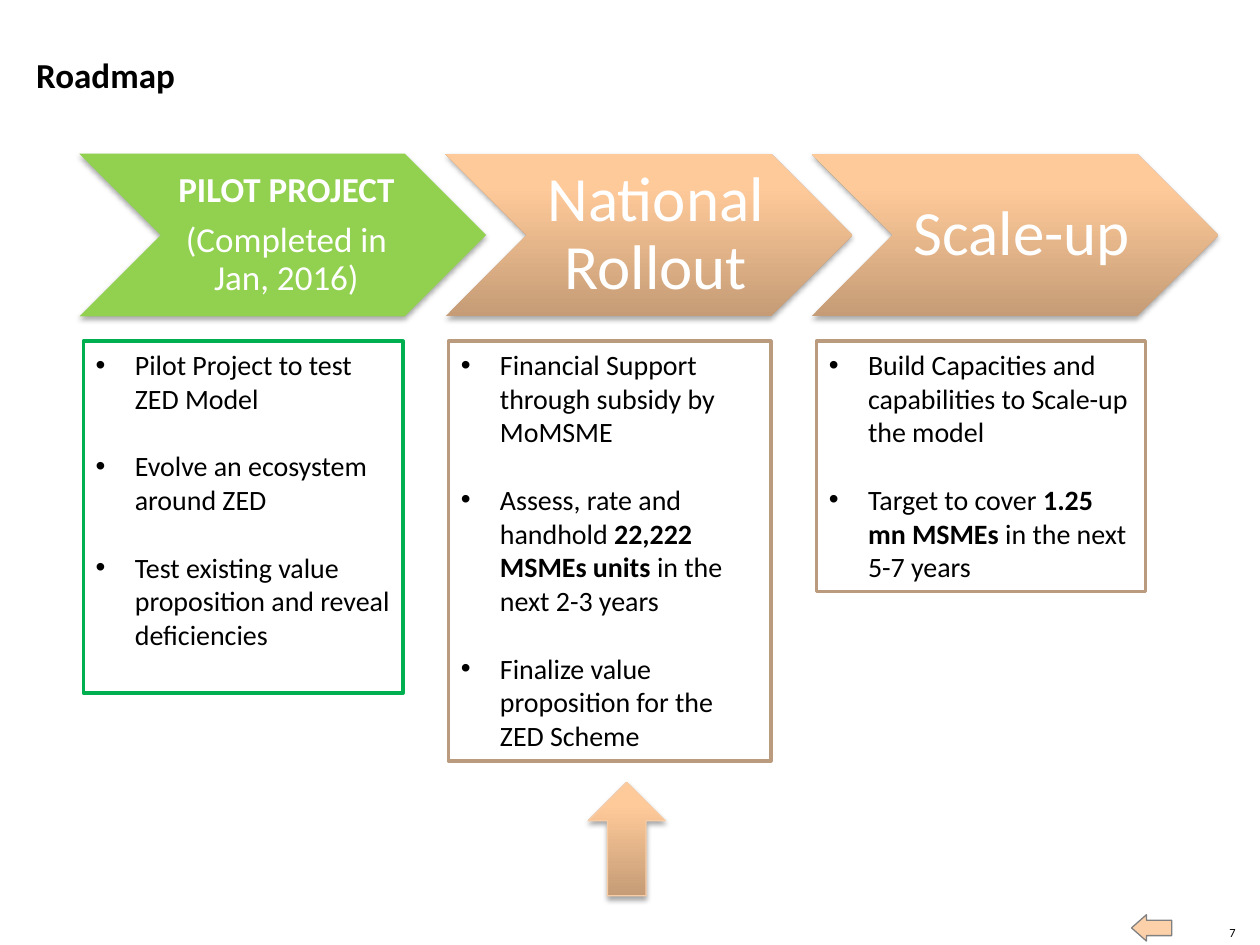
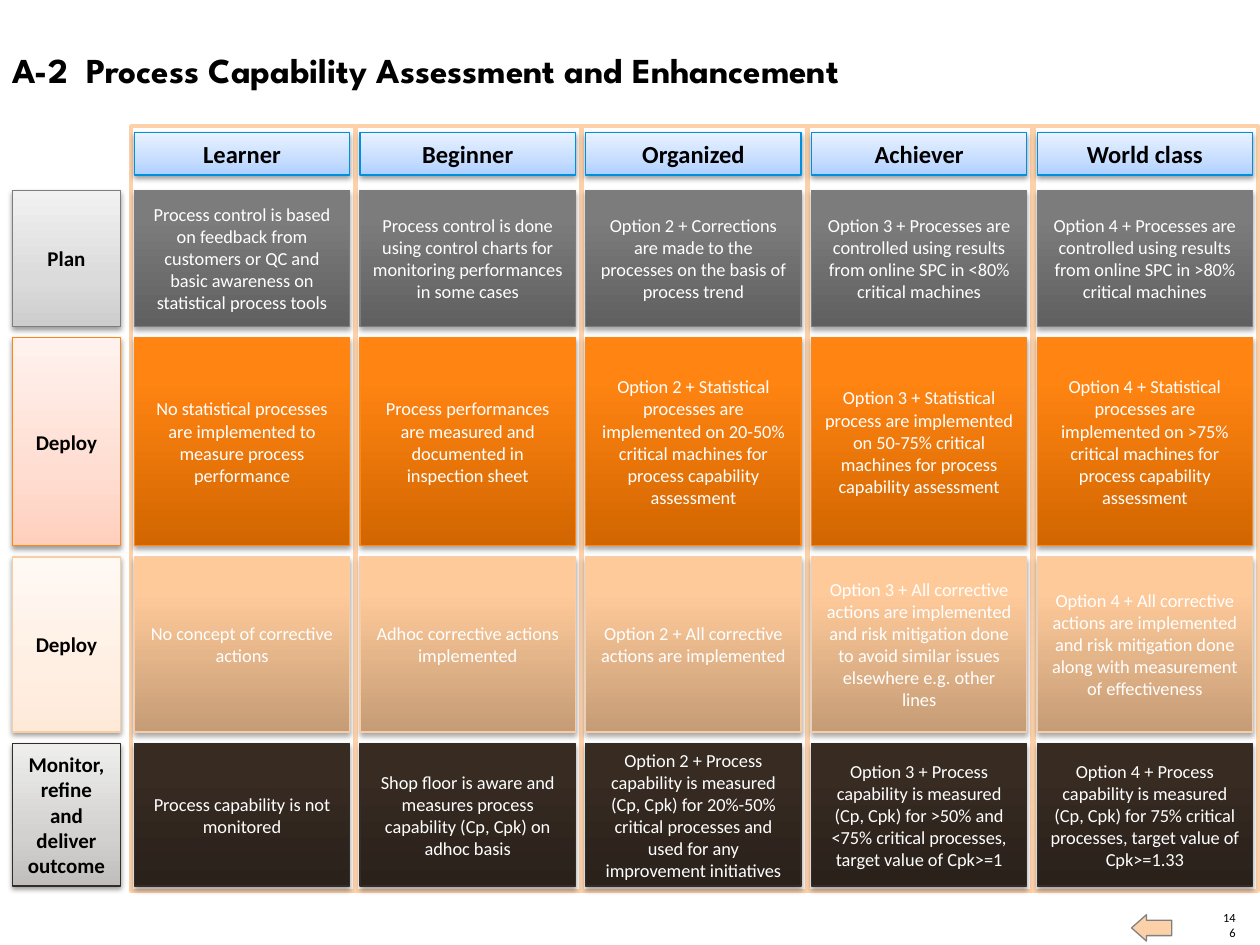
"""Build the roadmap slide and the process capability matrix slide."""
from lxml import etree
from pptx import Presentation
from pptx import util as u
from pptx.dml.color import RGBColor
from pptx.enum import shapes, text
from pptx.oxml.ns import qn

C = {
    "black": "000000", "white": "FFFFFF", "green": "92D050", "frame_green": "00B050",
    "tan": "BA9B7E", "peach": "FCD1AA", "peach_line": "F8CCA4", "grey": "808080",
    "plan": "7D7D7D", "orange": "FF8615", "brown": "352C25", "blue": "008FDC",
}
STOPS_DARK, STOPS_LIGHT = (0, 80, 100), (0, 35, 100)
G = {
    "peach": (STOPS_DARK, ("C59C76", "FFCA9A", "FFCB9C")),
    "plan": (STOPS_DARK, ("606060", "7C7C7C", "7D7D7D")),
    "orange": (STOPS_DARK, ("D26600", "FF8412", "FF8514")),
    "brown": (STOPS_DARK, ("2A211B", "372B22", "372B22")),
    "plan_label": (STOPS_LIGHT, ("CDCDCD", "DBDBDB", "F1F1F1")),
    "orange_label": (STOPS_LIGHT, ("FFCFBD", "FFDDD1", "FFF2EE")),
    "peach_label": (STOPS_LIGHT, ("FFE9D8", "FFEFE3", "FFF9F4")),
    "brown_label": (STOPS_LIGHT, ("C0BEBC", "D3D1D0", "EEEEED")),
    "header": (STOPS_LIGHT, ("AECFFF", "C6DDFF", "E9F2FF")),
}
SHAPE, ALIGN, ANCHOR = shapes.MSO_SHAPE, text.PP_ALIGN, text.MSO_ANCHOR


def box(slide, kind, place, fill, line=None, weight=0.75, shadow=None):
    """Add a preset shape; fill is a hex string or a gradient, shadow is (alpha, distance)."""
    sp = slide.shapes.add_shape(kind, *(u.Cm(v) for v in place))
    if isinstance(fill, str):
        sp.fill.solid()
        sp.fill.fore_color.rgb = RGBColor.from_string(fill)
    else:
        sp.fill.gradient()
        sp.fill.gradient_angle = 90
        stops = sp._element.spPr.find(".//" + qn("a:gsLst"))
        for old in list(stops):
            stops.remove(old)
        for pos, colour in zip(*fill):
            gs = etree.SubElement(stops, qn("a:gs"), pos=str(pos * 1000))
            etree.SubElement(gs, qn("a:srgbClr"), val=colour)
    if line:
        sp.line.color.rgb = RGBColor.from_string(line)
        sp.line.width = u.Pt(weight)
    else:
        sp.line.fill.background()
    sp.shadow.inherit = False
    if shadow:
        alpha, dist = shadow
        effects = sp._element.spPr.find(qn("a:effectLst"))
        outer = etree.SubElement(effects, qn("a:outerShdw"), blurRad=str(u.Pt(3.1)),
                                 dist=str(u.Pt(dist)), dir="5400000", rotWithShape="0")
        clr = etree.SubElement(outer, qn("a:srgbClr"), val=C["black"])
        etree.SubElement(clr, qn("a:alpha"), val=str(alpha * 1000))
    return sp


def write(sp, paras, size, colour, bold=False, align=ALIGN.CENTER, anchor=ANCHOR.MIDDLE,
          insets=(0.25, 0.13, 0.25, 0.13), font="Calibri"):
    """Fill a shape with paragraphs; ** switches bold on and off."""
    tf = sp.text_frame
    tf.word_wrap = True
    tf.auto_size = text.MSO_AUTO_SIZE.NONE
    tf.vertical_anchor = anchor
    tf.margin_left, tf.margin_top, tf.margin_right, tf.margin_bottom = (u.Cm(v) for v in insets)
    for i, para in enumerate(paras):
        p = tf.add_paragraph() if i else tf.paragraphs[0]
        p.alignment = align
        for j, part in enumerate(para.split("**")):
            if part:
                r = p.add_run()
                r.text = part
                r.font.name, r.font.size = font, u.Pt(size)
                r.font.bold = bold or j % 2 == 1
                r.font.color.rgb = RGBColor.from_string(colour)
    return tf


prs = Presentation()
prs.slide_width, prs.slide_height = u.Cm(25.4), u.Cm(19.05)

heads = [
    ("Roadmap", "7", "Calibri", (0.48, 1.07, 19.43, 0.86), ANCHOR.BOTTOM, (0.25, 0, 0, 0)),
    ("A-2  Process Capability Assessment and Enhancement", "146", "League Spartan",
     (0, 0.84, 21.84, 1.12), ANCHOR.TOP, (0.25, 0.13, 0.25, 0.13)),
]
for title, number, font, place, anchor, insets in heads:
    s = prs.slides.add_slide(prs.slide_layouts[5])
    sp = s.shapes.title
    sp.left, sp.top, sp.width, sp.height = (u.Cm(v) for v in place)
    write(sp, [title], 20, C["black"], True, ALIGN.LEFT, anchor, insets, font)
    sp = s.shapes.add_textbox(u.Cm(24.61), u.Cm(18.64), u.Cm(0.3), u.Cm(0.3))
    write(sp, [number], 7.1, C["black"], False, ALIGN.RIGHT, ANCHOR.BOTTOM, (0, 0, 0, 0))
    sp = box(s, SHAPE.RIGHT_ARROW, (22.81, 18.44, 0.81, 0.53), C["peach"], C["grey"])
    sp.rotation = 180
    sp.adjustments[0], sp.adjustments[1] = 0.588, 0.565
roadmap, matrix = prs.slides

DEEP, SOFT = (35, 1.8), (38, 1.6)
phases = [
    (["**PILOT PROJECT**", "(Completed in Jan, 2016)"], 20, C["green"], (0.23, 0.08, 0.08, 0.08),
     (1.68, 6.45, 7.09), C["frame_green"],
     ["Pilot Project to test ZED Model",
      "Evolve an ecosystem around ZED",
      "Test existing value proposition and reveal deficiencies"]),
    (["National Rollout"], 36, G["peach"], (0.41, 0.13, 0.13, 0.13),
     (9.04, 6.5, 8.46), C["tan"],
     ["Financial Support through subsidy by MoMSME",
      "Assess, rate and handhold **22,222 MSMEs units** in the next 2-3 years",
      "Finalize value proposition for the ZED Scheme"]),
    (["Scale-up"], 36, G["peach"], (0.41, 0.13, 0.13, 0.13),
     (16.46, 6.63, 5.05), C["tan"],
     ["Build Capacities and capabilities to Scale-up the model",
      "Target to cover **1.25 mn MSMEs **in the next 5-7 years"]),
]
for i, (name, size, fill, insets, (left, width, height), frame, points) in enumerate(phases):
    sp = box(roadmap, SHAPE.CHEVRON, (1.6 + 7.38 * i, 3.1, 8.2, 3.28), fill, shadow=DEEP)
    tf = write(sp, name, size, C["white"], insets=insets)
    for p in tf.paragraphs:
        p.line_spacing = 0.9
    for p in tf.paragraphs[:-1]:
        p.space_after = u.Pt(7)
    sp = box(roadmap, SHAPE.RECTANGLE, (left, 6.88, width, height), C["white"], frame, 2)
    tf = write(sp, points, 16, C["black"], align=ALIGN.LEFT, anchor=ANCHOR.TOP)
    for j, p in enumerate(tf.paragraphs):
        if j:
            p.space_before = u.Pt(19.5)
        pPr = p._p.get_or_add_pPr()
        pPr.set("marL", str(u.Cm(0.79)))
        pPr.set("indent", str(-u.Cm(0.79)))
        etree.SubElement(pPr, qn("a:buFont"), typeface="Arial")
        etree.SubElement(pPr, qn("a:buChar"), char="•")
box(roadmap, SHAPE.UP_ARROW, (11.86, 15.77, 1.55, 2.29), G["peach"], C["peach_line"], shadow=DEEP)

levels = ["Learner", "Beginner", "Organized", "Achiever", "World class"]
stages = [
    ("Plan", "plan", C["plan"], 2.74, [
        "Process control is based on feedback from customers or QC and basic awareness on "
        "statistical process tools",
        "Process control is done using control charts for monitoring performances in some cases",
        "Option 2 + Corrections are made to the processes on the basis of process trend",
        "Option 3 + Processes are controlled using results from online SPC in <80% "
        "critical machines",
        "Option 4 + Processes are controlled using results from online SPC in >80% "
        "critical machines"]),
    ("Deploy", "orange", C["orange"], 4.19, [
        "No statistical processes are implemented to measure process performance",
        "Process performances are measured and documented in inspection sheet",
        "Option 2 + Statistical processes are implemented on 20-50% critical machines for "
        "process capability assessment",
        "Option 3 + Statistical process are implemented on 50-75% critical machines for "
        "process capability assessment",
        "Option 4 + Statistical processes are implemented on >75% critical machines for "
        "process capability assessment"]),
    ("Deploy", "peach", C["peach_line"], 3.53, [
        "No concept of corrective actions",
        "Adhoc corrective actions implemented",
        "Option 2 + All corrective actions are implemented",
        "Option 3 + All corrective actions are implemented and risk mitigation done to avoid "
        "similar issues elsewhere e.g. other lines",
        "Option 4 + All corrective actions are implemented and risk mitigation done along with "
        "measurement of effectiveness"]),
    ("Monitor, refine and deliver outcome", "brown", C["brown"], 2.87, [
        "Process capability is not monitored",
        "Shop floor is aware and measures process capability (Cp, Cpk) on adhoc basis",
        "Option 2 + Process capability is measured (Cp, Cpk) for 20%-50% critical processes "
        "and used for any improvement initiatives",
        "Option 3 + Process capability is measured (Cp, Cpk) for >50% and <75% critical "
        "processes, target value of Cpk>=1",
        "Option 4 + Process capability is measured (Cp, Cpk) for 75% critical processes, "
        "target value of Cpk>=1.33"]),
]
STEP, GAP, CELL_LEFT, CELL_WIDTH = 4.55, 0.23, 2.71, 4.34
for i, level in enumerate(levels):
    box(matrix, SHAPE.RECTANGLE, (2.64 + STEP * i, 2.54, 4.52, 15.42), C["white"], C["peach"], 2)
for i, level in enumerate(levels):
    sp = box(matrix, SHAPE.RECTANGLE, (CELL_LEFT + STEP * i, 2.67, CELL_WIDTH, 0.86),
             G["header"], C["blue"], shadow=SOFT)
    write(sp, [level], 14, C["black"], True)
top = 3.84
for stage, tone, line, height, cells in stages:
    sp = box(matrix, SHAPE.RECTANGLE, (0.25, top, 2.18, height), G[tone + "_label"], line,
             shadow=SOFT)
    write(sp, [stage], 12, C["black"], True)
    for i, cell in enumerate(cells):
        sp = box(matrix, SHAPE.RECTANGLE, (CELL_LEFT + STEP * i, top, CELL_WIDTH, height),
                 G[tone], line, shadow=DEEP)
        write(sp, [cell], 10.5, C["white"])
    top += height + GAP

prs.save("out.pptx")
